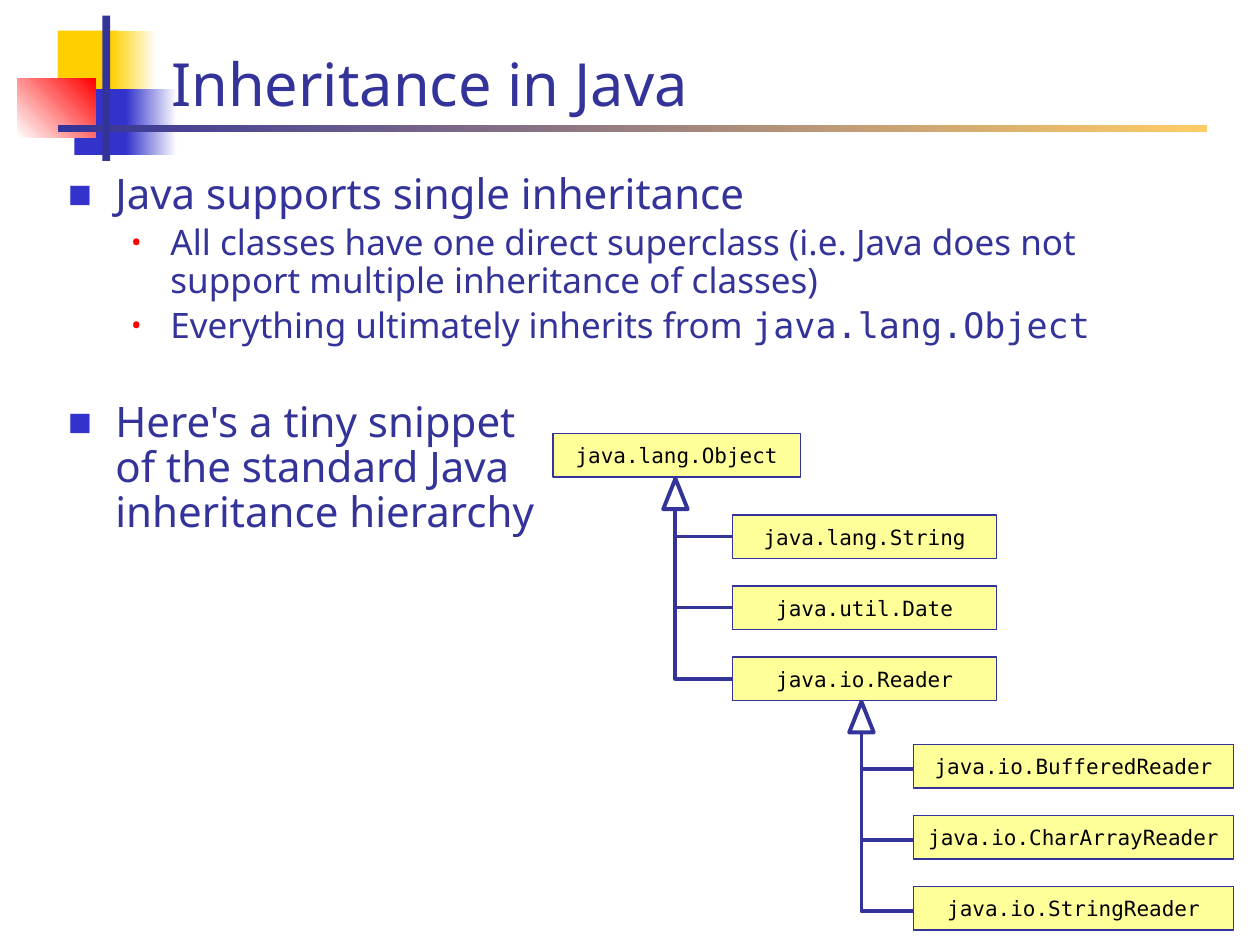
from copy import deepcopy
from lxml import etree
from pptx import Presentation
from pptx.dml.color import RGBColor
from pptx.enum.shapes import MSO_CONNECTOR, MSO_SHAPE
from pptx.enum.text import MSO_ANCHOR, MSO_AUTO_SIZE, PP_ALIGN
from pptx.oxml.ns import qn
from pptx.util import Pt

RECT = MSO_SHAPE.RECTANGLE
TRIANGLE = MSO_SHAPE.ISOSCELES_TRIANGLE
ELBOW = MSO_CONNECTOR.ELBOW
LEFT, CENTER = PP_ALIGN.LEFT, PP_ALIGN.CENTER
TOP, MIDDLE, BOTTOM = MSO_ANCHOR.TOP, MSO_ANCHOR.MIDDLE, MSO_ANCHOR.BOTTOM
SANS, MONO = "Noto Sans", "DejaVu Sans Mono"
COLORS = {name: RGBColor.from_string(code) for name, code in {
    "navy": "333399", "blue": "3333CC", "gold": "FFCF01", "red": "FF0000",
    "sand": "FFCC66", "cream": "FFFF99", "white": "FFFFFF", "black": "000000",
}.items()}

deck = Presentation()
deck.slide_width, deck.slide_height = Pt(720), Pt(540)
slide = deck.slides.add_slide(deck.slide_layouts[1])
shapes = slide.shapes
title, body = slide.placeholders


def write(para, text, size=24, font=SANS, color="navy", align=LEFT):
    """Append text to a paragraph, with line breaks at newlines."""
    para.alignment = align
    for i, part in enumerate(text.split("\n")):
        if i:
            para.add_line_break()
        run = para.add_run()
        run.text = part
        run.font.size, run.font.name = Pt(size), font
        run.font.color.rgb = COLORS[color]
    for gap in para._p.findall(qn("a:br")):
        gap.insert(0, deepcopy(run._r.rPr))


def draw(kind, left, top, width, height, fill, line=None, end=None, angle=0):
    """Add a shape with a plain fill, or a gradient from fill to end."""
    shape = shapes.add_shape(kind, Pt(left), Pt(top), Pt(width), Pt(height))
    shape.shadow.inherit = False
    if end:
        shape.fill.gradient()
        shape.fill.gradient_angle = angle
        for stop, name, place in zip(shape.fill.gradient_stops, (fill, end), (0, 1)):
            stop.color.rgb, stop.position = COLORS[name], place
    else:
        shape.fill.solid()
        shape.fill.fore_color.rgb = COLORS[fill]
    if line:
        shape.line.color.rgb, shape.line.width = COLORS["navy"], Pt(line)
    else:
        shape.line.fill.background()
    return shape


# Corner blocks and rules
draw(RECT, 33, 17.5, 34.5, 37.5, "gold")
draw(RECT, 63.5, 17.5, 26, 37.5, "gold", end="white")
draw(RECT, 42.5, 51, 33, 37.5, "blue")
draw(RECT, 72, 51, 29, 37.5, "blue", end="white")
draw(RECT, 10, 45, 44.5, 33.5, "white", end="red", angle=45)
draw(RECT, 33, 71.5, 657, 4, "navy", end="sand")
draw(RECT, 58.5, 9, 4.5, 83, "navy")

# Title and body frames, in front of the corner blocks
for holder, box, anchor in ((title, (90.7, 16.5, 613.5, 55), BOTTOM),
                            (body, (31.7, 95.3, 668, 389), TOP)):
    holder.left, holder.top, holder.width, holder.height = map(Pt, box)
    holder.text_frame.auto_size = MSO_AUTO_SIZE.NONE
    holder.text_frame.vertical_anchor = anchor
    shapes._spTree.append(holder._element)
write(title.text_frame.paragraphs[0], "Inheritance in Java", size=34)

# Bullet list
LEVELS = [  # size, margin, indent, mark, mark colour, mark size
    (24, 27, -27, "■", "blue", 60),
    (20, 58.5, -22.5, "•", "red", 80),
]
items = [
    (0, 0, "Java supports single inheritance"),
    (1, 4, "All classes have one direct superclass (i.e. Java does not "
           "support multiple inheritance of classes)"),
    (1, 4, "Everything ultimately inherits from "),
    (0, 31.5, "Here's a tiny snippet\nof the standard Java\ninheritance hierarchy"),
]
frame = body.text_frame
for i, (level, space, text) in enumerate(items):
    size, margin, indent, mark, color, scale = LEVELS[level]
    para = frame.add_paragraph() if i else frame.paragraphs[0]
    para.level, para.line_spacing, para.space_before = level, 0.9, Pt(space)
    write(para, text, size=size)
    if text.endswith("from "):
        write(para, "java.lang.Object", size=size, font=MONO)
    props = para._p.get_or_add_pPr()
    props.set("marL", str(Pt(margin)))
    props.set("indent", str(Pt(indent)))
    tint = etree.SubElement(props, qn("a:buClr"))
    etree.SubElement(tint, qn("a:srgbClr"), val=str(COLORS[color]))
    etree.SubElement(props, qn("a:buSzPct"), val=str(scale * 1000))
    etree.SubElement(props, qn("a:buFont"), typeface=SANS)
    etree.SubElement(props, qn("a:buChar"), char=mark)

# Branches of the class tree
STEP = 40.6
for x, first in ((386, 306.6), (492.3, 439.6)):
    for i in range(3):
        y = first + i * STEP
        link = shapes.add_connector(ELBOW, Pt(x), Pt(y - 44), Pt(x + 106.3), Pt(y))
        link.line.color.rgb, link.line.width = COLORS["navy"], Pt(2.25)
        props = link._element.spPr
        etree.SubElement(props, qn("a:effectLst"))
        guides = props.find(qn("a:prstGeom")).get_or_add_avLst()
        etree.SubElement(guides, qn("a:gd"), name="adj1", fmla="val 0")

# Class boxes
groups = [
    (316, 247.6, 141.3, ["Object"], "java.lang."),
    (418.6, 294.3, 151, ["lang.String", "util.Date", "io.Reader"], "java."),
    (522, 425.3, 183, ["BufferedReader", "CharArrayReader", "StringReader"], "java.io."),
]
for left, top, width, names, prefix in groups:
    for i, name in enumerate(names):
        box = draw(RECT, left, top + i * STEP, width, 25, "cream", line=0.75)
        box.text_frame.word_wrap = False
        box.text_frame.vertical_anchor = MIDDLE
        write(box.text_frame.paragraphs[0], prefix + name, size=12, font=MONO,
              color="black", align=CENTER)

# Inheritance arrowheads
for x, top in ((386, 273.5), (492.3, 401)):
    draw(TRIANGLE, x - 7, top, 14, 17.5, "white", line=2.25)

deck.save("out.pptx")
